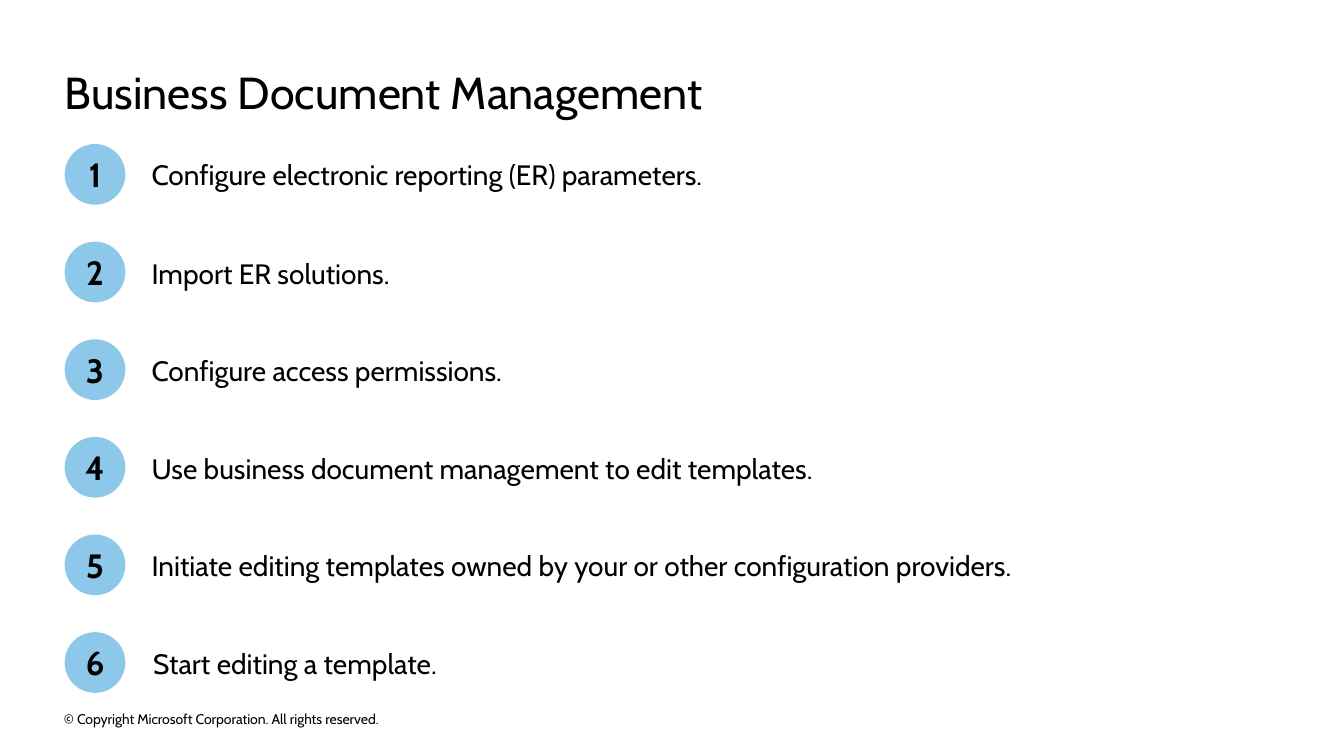
from pptx import Presentation
from pptx.dml.color import RGBColor
from pptx.enum.shapes import MSO_SHAPE as Preset
from pptx.enum.text import MSO_ANCHOR as Anchor, PP_ALIGN as Align
from pptx.util import Cm, Pt

FONT = "Cabin"
COLORS = {"text": "000000", "badge": "8DC8EB", "background": "FFFFFF"}

# Each step with the left edge of its text in cm
STEPS = [
    ("Configure electronic reporting (ER) parameters.", 3.82),
    ("Import ER solutions.", 3.82),
    ("Configure access permissions.", 3.82),
    ("Use business document management to edit templates.", 3.82),
    ("Initiate editing templates owned by your or other configuration providers.", 3.82),
    ("Start editing a template.", 3.86),
]
FIRST_TOP, PITCH, BADGE_SIZE = 3.63, 2.46, 1.53
MARGIN, STEP_WIDTH = 1.63, 28.37


def write(frame, text, size, bold=False, align=Align.LEFT, anchor=Anchor.MIDDLE,
          line_spacing=1.0):
    """Fill a text frame with one formatted paragraph and no insets."""
    frame.word_wrap = True
    frame.vertical_anchor = anchor
    frame.margin_left = frame.margin_right = 0
    frame.margin_top = frame.margin_bottom = 0
    paragraph = frame.paragraphs[0]
    paragraph.alignment = align
    paragraph.line_spacing = line_spacing
    run = paragraph.add_run()
    run.text = text
    run.font.name = FONT
    run.font.size = Pt(size)
    run.font.bold = bold
    run.font.color.rgb = RGBColor.from_string(COLORS["text"])


def add_label(slide, text, left, top, width, height, **style):
    label = slide.shapes.add_textbox(Cm(left), Cm(top), Cm(width), Cm(height))
    write(label.text_frame, text, **style)


def add_badge(slide, number, top):
    badge = slide.shapes.add_shape(
        Preset.OVAL, Cm(MARGIN), Cm(top), Cm(BADGE_SIZE), Cm(BADGE_SIZE))
    badge.shadow.inherit = False
    badge.fill.solid()
    badge.fill.fore_color.rgb = RGBColor.from_string(COLORS["badge"])
    badge.line.fill.background()
    write(badge.text_frame, str(number), size=24, bold=True, align=Align.CENTER)


def main():
    deck = Presentation()
    deck.slide_width, deck.slide_height = Cm(33.87), Cm(19.05)
    slide = deck.slides.add_slide(deck.slide_layouts[6])
    slide.background.fill.solid()
    slide.background.fill.fore_color.rgb = RGBColor.from_string(COLORS["background"])

    # Title
    add_label(slide, "Business Document Management", MARGIN, 1.63, 30.58, 1.37,
              size=32, anchor=Anchor.TOP)

    # Numbered steps, each text centred on its badge
    for index, (step, left) in enumerate(STEPS):
        top = FIRST_TOP + index * PITCH
        add_badge(slide, index + 1, top)
        add_label(slide, step, left, top, STEP_WIDTH, BADGE_SIZE,
                  size=20, line_spacing=1.05 if index else 1.0)

    # Footer
    add_label(slide, "© Copyright Microsoft Corporation. All rights reserved.",
              1.61, 17.83, 11.53, 0.56, size=10)

    deck.save("out.pptx")


if __name__ == "__main__":
    main()
